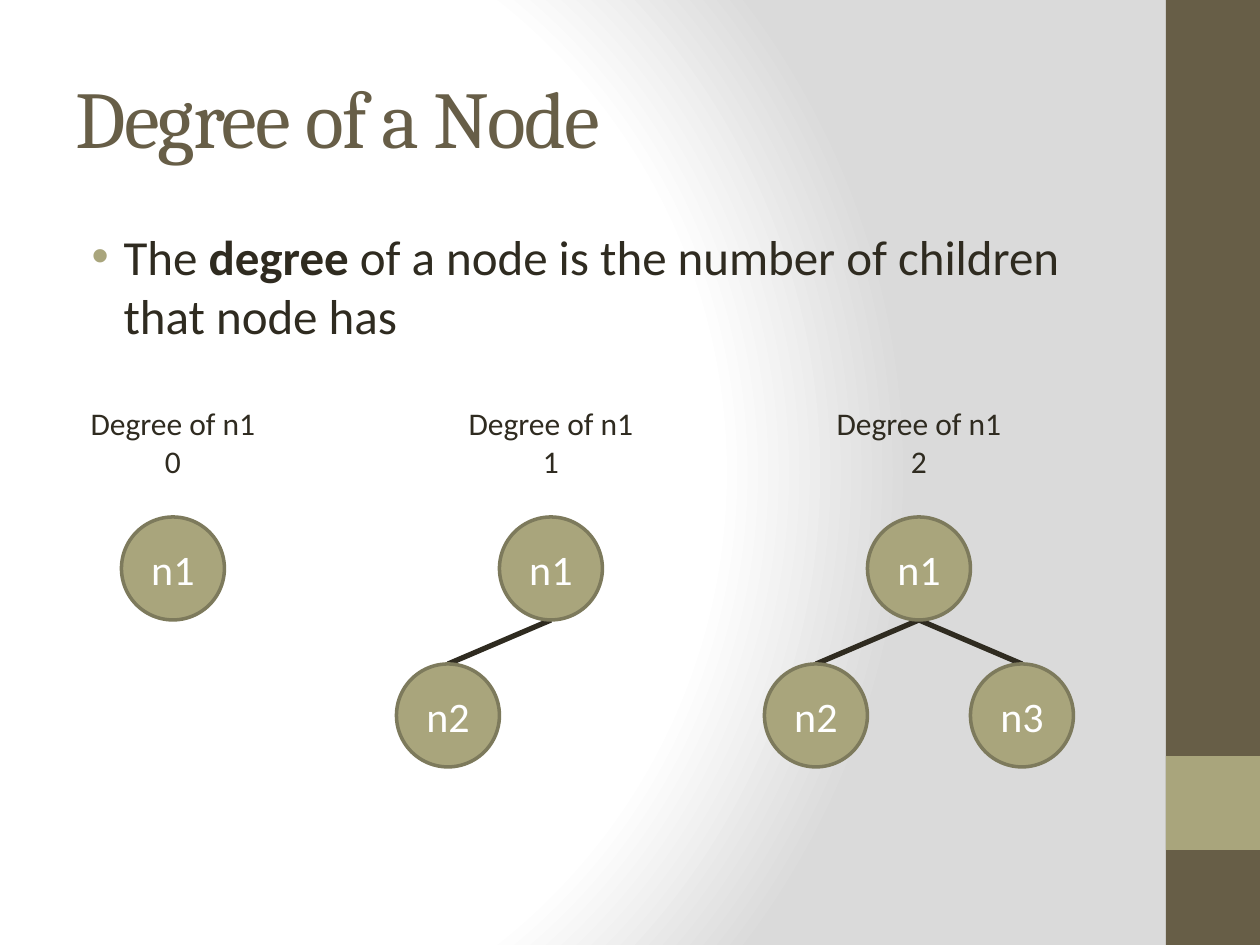
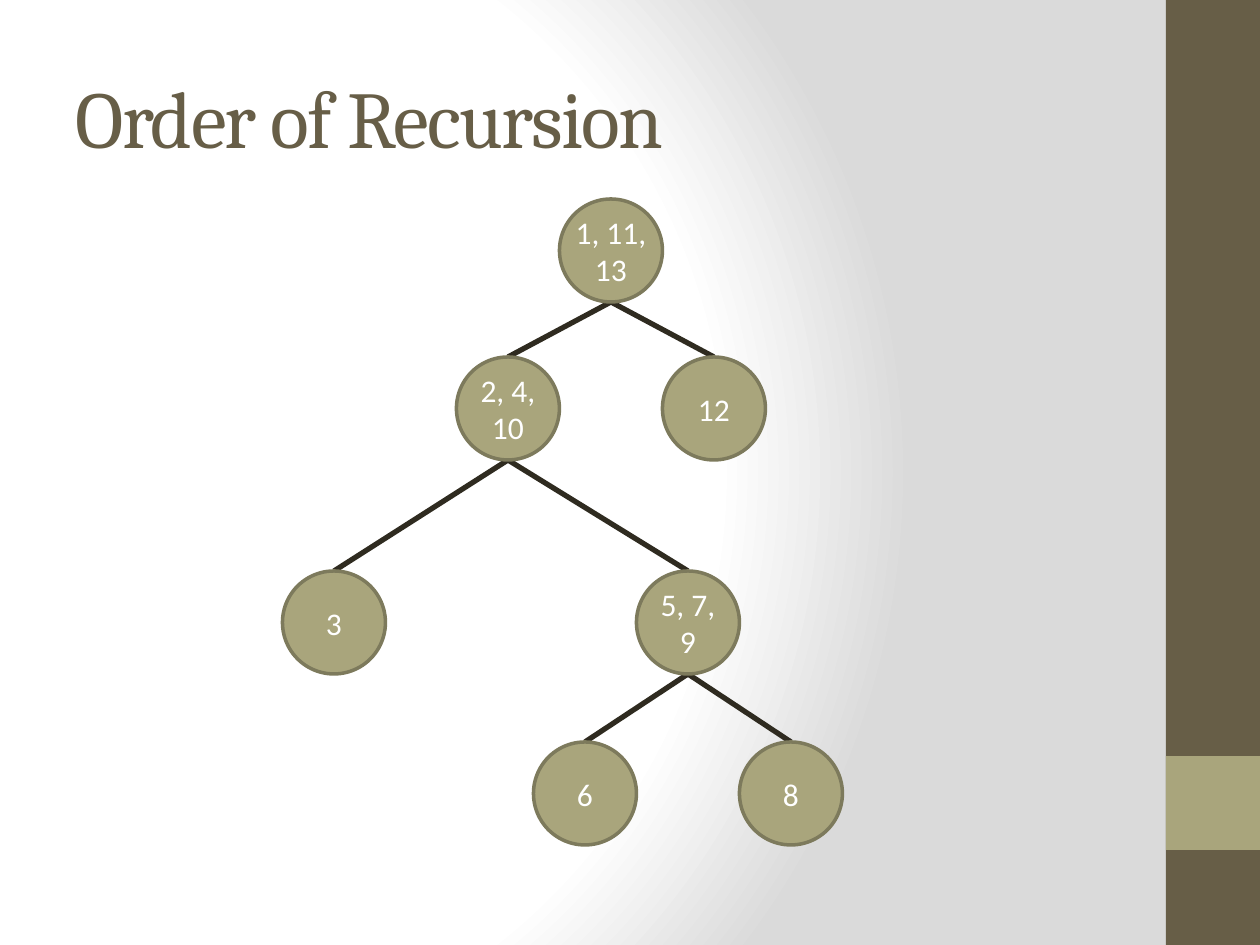
import lxml.etree
import pptx
import pptx.dml.color
import pptx.enum.shapes
import pptx.enum.text
import pptx.oxml.ns
import pptx.util

SCALE = 914400 / 126
SHAPE = pptx.enum.shapes.MSO_SHAPE
ALIGN = pptx.enum.text.PP_ALIGN
qn = pptx.oxml.ns.qn


def px(n):
    return pptx.util.Emu(round(n * SCALE))


def color(value):
    return pptx.dml.color.RGBColor.from_string(value)


class Deck:
    BROWN, OLIVE, EDGE, INK, WHITE = "675E47", "A9A57C", "7D7A5C", "2F2B20", "FFFFFF"
    HEAD, TEXT = "Cambria", "Calibri"
    NODE = 103
    STOPS = ((0, WHITE), (75, WHITE), (100, "DADADA"))

    def __init__(self):
        self.prs = pptx.Presentation()
        self.prs.slide_width, self.prs.slide_height = px(1260), px(945)
        self.s = None

    def slide(self, layout, title):
        self.s = self.prs.slides.add_slide(self.prs.slide_layouts[layout])
        self.background()
        self.band(0, 945, self.BROWN)
        self.band(756, 94, self.OLIVE)
        self.title(title)

    def background(self):
        self.s.background.fill.gradient()
        grad = self.s.element.find(".//" + qn("a:gradFill"))
        for child in list(grad):
            grad.remove(child)
        stops = lxml.etree.SubElement(grad, qn("a:gsLst"))
        for pos, value in self.STOPS:
            gs = lxml.etree.SubElement(stops, qn("a:gs"), pos=str(pos * 1000))
            lxml.etree.SubElement(gs, qn("a:srgbClr"), val=value)
        circle = lxml.etree.SubElement(grad, qn("a:path"), path="circle")
        lxml.etree.SubElement(circle, qn("a:fillToRect"),
                              l="20000", t="50000", r="100000", b="50000")

    def place(self, sp, x, y, w, h):
        sp.left, sp.top, sp.width, sp.height = px(x), px(y), px(w), px(h)

    def run(self, p, text, size, value, font=TEXT, bold=None):
        r = p.add_run()
        r.text = text
        r.font.size, r.font.name, r.font.bold = pptx.util.Pt(size), font, bold
        r.font.color.rgb = color(value)
        return r

    def shape(self, kind, x, y, w, h, fill):
        sp = self.s.shapes.add_shape(kind, px(x), px(y), px(w), px(h))
        sp.shadow.inherit = False
        sp.fill.solid()
        sp.fill.fore_color.rgb = color(fill)
        return sp

    def band(self, y, h, fill):
        self.shape(SHAPE.RECTANGLE, 1166, y, 94, h, fill).line.fill.background()

    def title(self, text):
        sp = self.s.shapes.title
        self.place(sp, 63, 38, 1050, 157)
        sp.text_frame.vertical_anchor = pptx.enum.text.MSO_ANCHOR.MIDDLE
        p = sp.text_frame.paragraphs[0]
        p.alignment = ALIGN.LEFT
        r = self.run(p, text, 46, self.BROWN, self.HEAD)
        r.font._element.set("spc", "-100")

    def body(self, *runs):
        sp = self.s.placeholders[1]
        self.place(sp, 63, 220, 1050, 662)
        p = sp.text_frame.paragraphs[0]
        pPr = p._p.get_or_add_pPr()
        pPr.set("marL", str(px(48)))
        pPr.set("indent", str(px(-32)))
        bullet = lxml.etree.SubElement(pPr, qn("a:buClr"))
        lxml.etree.SubElement(bullet, qn("a:srgbClr"), val=self.OLIVE)
        for text, bold in runs:
            self.run(p, text, 28, self.INK, bold=bold)

    def caption(self, center, y, *lines):
        sp = self.s.shapes.add_textbox(px(center - 101), px(y), px(202), px(89))
        tf = sp.text_frame
        tf.word_wrap = True
        tf.auto_size = pptx.enum.text.MSO_AUTO_SIZE.SHAPE_TO_FIT_TEXT
        for i, line in enumerate(lines):
            p = tf.add_paragraph() if i else tf.paragraphs[0]
            p.alignment = ALIGN.CENTER
            self.run(p, line, 18, self.INK)

    def edge(self, x1, y1, x2, y2):
        line = self.s.shapes.add_connector(
            pptx.enum.shapes.MSO_CONNECTOR.STRAIGHT, px(x1), px(y1), px(x2), px(y2))
        line.line.color.rgb = color(self.INK)
        line.line.width = pptx.util.Pt(3)
        lxml.etree.SubElement(line._element.spPr, qn("a:effectLst"))

    def node(self, text, center, top, size):
        sp = self.shape(SHAPE.OVAL, center - self.NODE / 2, top,
                        self.NODE, self.NODE, self.OLIVE)
        sp.line.color.rgb = color(self.EDGE)
        sp.line.width = pptx.util.Pt(2)
        tf = sp.text_frame
        tf.word_wrap = True
        tf.vertical_anchor = pptx.enum.text.MSO_ANCHOR.MIDDLE
        tf.margin_left = tf.margin_right = tf.margin_top = tf.margin_bottom = 0
        p = tf.paragraphs[0]
        p.alignment = ALIGN.CENTER
        self.run(p, text, size, self.WHITE)

    def tree(self, nodes, size):
        for text, x, y, parent in nodes:
            if parent is not None:
                px_, py_ = nodes[parent][1:3]
                self.edge(px_, py_ + self.NODE, x, y)
        for text, x, y, parent in nodes:
            self.node(text, x, y, size)


deck = Deck()
step = deck.NODE

deck.slide(1, "Degree of a Node")
deck.body(("The ", None), ("degree", True),
          (" of a node is the number of children that node has", None))
for degree, center in enumerate((173, 551, 919)):
    deck.caption(center, 398, "Degree of n1", str(degree))
    children = [("n2", center - step, 664, 0), ("n3", center + step, 664, 0)]
    deck.tree([("n1", center, 517, None)] + children[:degree], 24)

deck.slide(5, "Order of Recursion")
root, inner = 611, 688
deck.tree([
    ("1, 11, 13", root, 199, None),
    ("2, 4, 10", root - step, 357, 0),
    ("12", root + step, 357, 0),
    ("3", 334, 571, 1),
    ("5, 7, 9", inner, 571, 1),
    ("6", inner - step, 742, 4),
    ("8", inner + step, 742, 4),
], 18)

deck.prs.save("out.pptx")
